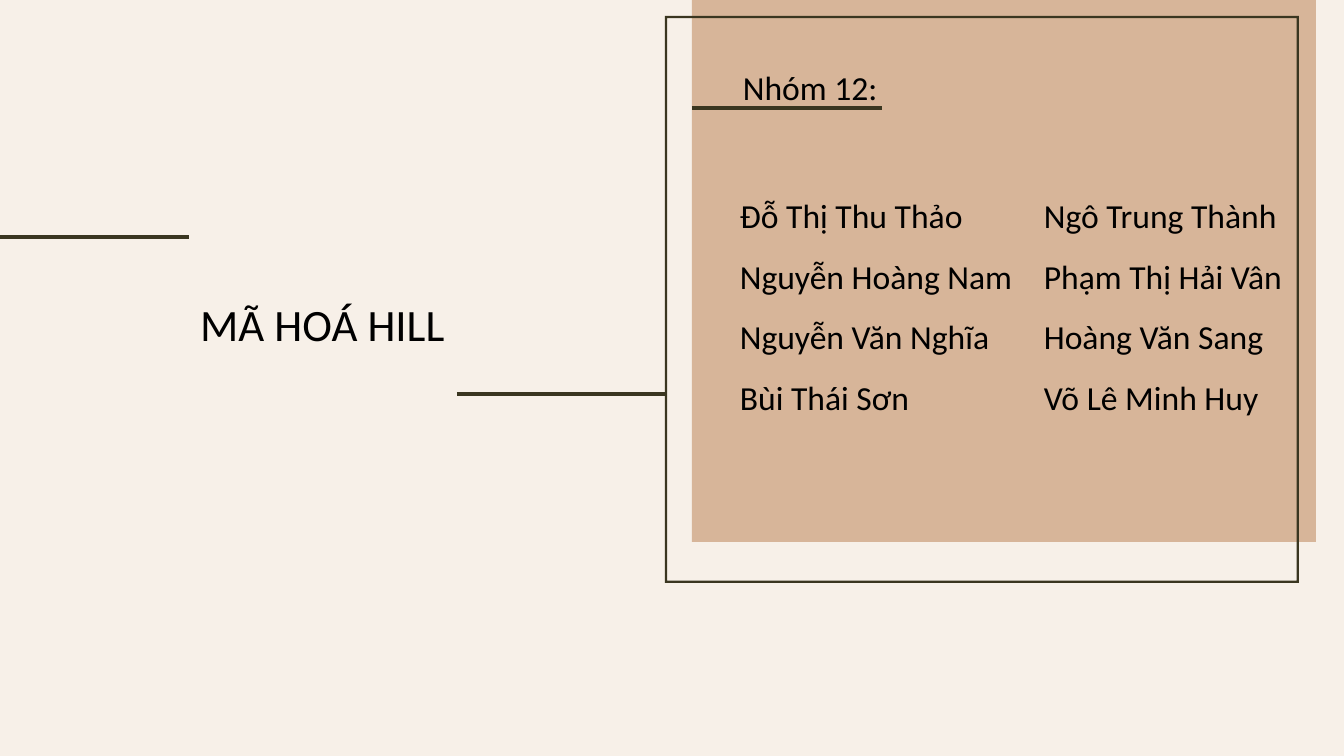
from lxml import etree
from pptx import Presentation, util as u
from pptx.dml.color import RGBColor
from pptx.enum import shapes, text
from pptx.oxml.ns import qn

# Content: wording with boxes as (left, top, width, height) in px
TITLE = ("MÃ HOÁ HILL", (190, 292, 267, 65))
GROUP = ("Nhóm 12:", (733, 42, 156, 65))
MEMBERS = [
    (["Đỗ Thị Thu Thảo", "Nguyễn Hoàng Nam", "Nguyễn Văn Nghĩa", "Bùi Thái Sơn"],
     (730, 170, 295, 248), False),
    (["Ngô Trung Thành", "Phạm Thị Hải Vân", "Hoàng Văn Sang", "Võ Lê Minh Huy"],
     (1034, 170, 309, 248), True),
]
PANEL = (692, 0, 624, 542)
FRAME = (665, 16, 634, 567)
RULES = [(692, 882, 108), (0, 189, 237), (457, 665, 394)]  # left, right, y
COLORS = {"background": "F7F0E8", "panel": "D7B599", "dark": "3A3620", "text": "000000"}
FONT = "Calibri"
EMU_PER_PX = 914400 / 100.8


def px(*lengths):
    return [u.Emu(round(length * EMU_PER_PX)) for length in lengths]


def color(name):
    return RGBColor.from_string(COLORS[name])


def write(box, lines, size=24, spacing=1.5, wrap=False):
    frame = box.text_frame
    frame.text = "\n".join(lines)
    frame.word_wrap = wrap
    frame.auto_size = text.MSO_AUTO_SIZE.SHAPE_TO_FIT_TEXT
    frame.vertical_anchor = text.MSO_ANCHOR.TOP
    for paragraph in frame.paragraphs:
        paragraph.alignment = text.PP_ALIGN.LEFT
        paragraph.line_spacing = spacing
        paragraph.space_before = u.Pt(0)
        paragraph.font.size = u.Pt(size)
        paragraph.font.name = FONT
        paragraph.font.color.rgb = color("text")


def add_block(kind, area, fill):
    block = slide.shapes.add_shape(kind, *px(*area))
    block.shadow.inherit = False
    block.fill.solid()
    block.fill.fore_color.rgb = color(fill)
    block.line.fill.background()
    return block


# Slide and background
deck = Presentation()
deck.slide_width, deck.slide_height = px(1344, 756)
slide = deck.slides.add_slide(deck.slide_layouts[5])
slide.background.fill.solid()
slide.background.fill.fore_color.rgb = color("background")

# Title
title = slide.shapes.title
title.left, title.top, title.width, title.height = px(*TITLE[1])
write(title, [TITLE[0]], size=32, spacing=1.0)

# Panel with the members
add_block(shapes.MSO_SHAPE.RECTANGLE, PANEL, "panel")
for names, area, wrap in MEMBERS:
    write(slide.shapes.add_textbox(*px(*area)), names, wrap=wrap)

# Thin frame and group heading
outline = add_block(shapes.MSO_SHAPE.FRAME, FRAME, "dark")
outline.adjustments[0] = 0.004
write(slide.shapes.add_textbox(*px(*GROUP[1])), [GROUP[0]])

# Accent rules
for left, right, y in RULES:
    rule = slide.shapes.add_connector(shapes.MSO_CONNECTOR.STRAIGHT, *px(left, y, right, y))
    rule.line.color.rgb = color("dark")
    rule.line.width = u.Pt(3)
    etree.SubElement(rule._element.spPr, qn("a:effectLst"))

deck.save("out.pptx")
